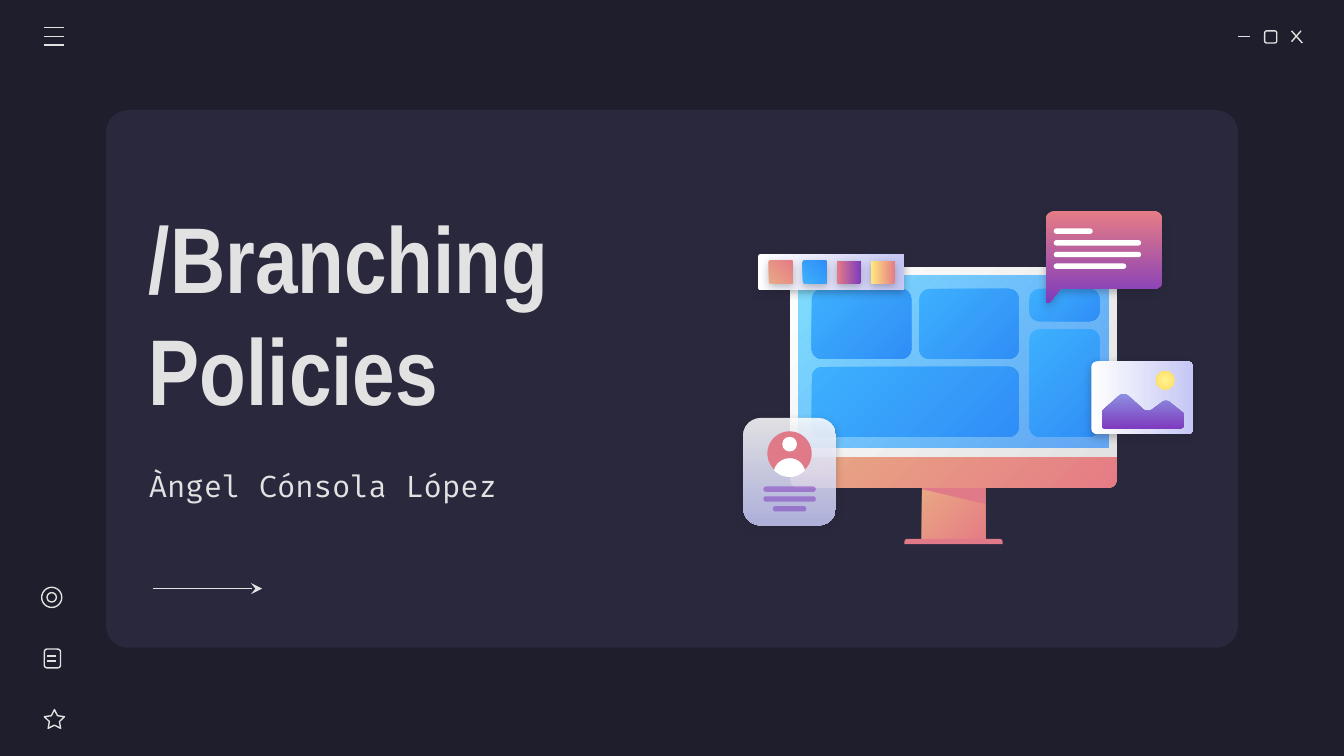
from dataclasses import dataclass

from lxml import etree
from pptx import Presentation
from pptx.dml.color import RGBColor
from pptx.enum import shapes, text
from pptx.oxml import ns
from pptx.util import Inches, Pt

KIND = shapes.MSO_SHAPE


@dataclass(frozen=True)
class Theme:
    back: str = "1E1E2C"
    panel: str = "29283D"
    ink: str = "E2E2E2"
    white: str = "FFFFFF"
    rose: str = "E07A88"
    violet: str = "7E3BBE"
    peach: tuple = ("E9A984", "E57C85")
    blue: tuple = ("3DB0FD", "308EF7")
    sky: tuple = ("80DFFF", "318FFA")
    frame: tuple = ("FFFFFF", "E2E2E2")
    paper: tuple = ("FFFFFF", "C5C7F4")
    plum: tuple = ("E57C85", "7E3BBE")
    hills: tuple = ("8D90E1", "7E3BBE")
    gold: tuple = ("FFEA7D", "E57C85")
    sun: tuple = ("FFF68E", "FFD966")
    title_font: str = "Arial Narrow"
    body_font: str = "Fira Code"
    title_size: int = 50
    body_size: int = 16
    line_width: float = 0.75


T = Theme()


def rgb(value):
    return RGBColor.from_string(value)


def child(parent, tag, **attrs):
    return etree.SubElement(parent, ns.qn(tag), {k: str(v) for k, v in attrs.items()})


def paint(sp, fill=None, angle=45, alpha=(100, 100), line=None, shadow=False):
    """Fill with a colour, a pair of colours (clockwise angle) or nothing."""
    sp.shadow.inherit = False
    if fill is None:
        sp.fill.background()
    elif isinstance(fill, str):
        sp.fill.solid()
        sp.fill.fore_color.rgb = rgb(fill)
    else:
        sp.fill.gradient()
        sp.fill.gradient_angle = -angle % 360
        for stop, color in zip(sp.fill.gradient_stops, fill):
            stop.color.rgb = rgb(color)
    for color, opacity in zip(sp._element.spPr.iter(ns.qn("a:srgbClr")), alpha):
        if opacity < 100:
            child(color, "a:alpha", val=opacity * 1000)
    if line:
        sp.line.color.rgb = rgb(line)
        sp.line.width = Pt(T.line_width)
    else:
        sp.line.fill.background()
    if shadow:
        effects = sp._element.spPr.find(ns.qn("a:effectLst"))
        outer = child(effects, "a:outerShdw", blurRad=Pt(4.5), dist=Pt(1.5),
                      dir=90 * 60000, algn="bl", rotWithShape=0)
        child(child(outer, "a:srgbClr", val=T.back), "a:alpha", val=30000)
    return sp


def add(parent, kind, x, y, w, h, adj=(), **look):
    sp = parent.shapes.add_shape(kind, Inches(x), Inches(y), Inches(w), Inches(h))
    for i, value in enumerate(adj):
        sp.adjustments[i] = value
    return paint(sp, **look)


def rounded(parent, x, y, w, h, radius, **look):
    return add(parent, KIND.ROUNDED_RECTANGLE, x, y, w, h,
               [min(0.5, radius / min(w, h))], **look)


def curve(x, y, start, *steps):
    """Points of an outline; a step is a line (2 numbers) or a cubic curve (6)."""
    points = [start]
    for step in steps:
        if len(step) == 2:
            points.append(step)
            continue
        ends = [points[-1], step[:2], step[2:4], step[4:]]
        for i in range(1, 9):
            t = i / 8
            weights = ((1 - t) ** 3, 3 * t * (1 - t) ** 2, 3 * t * t * (1 - t), t ** 3)
            points.append(tuple(sum(k * p[a] for k, p in zip(weights, ends))
                                for a in (0, 1)))
    return [(x + px, y + py) for px, py in points]


def outline(parent, points, **look):
    emu = [(Inches(px), Inches(py)) for px, py in points]
    builder = parent.shapes.build_freeform(*emu[0])
    builder.add_line_segments(emu[1:], close=True)
    return paint(builder.convert_to_shape(), **look)


def stroke(parent, x1, y1, x2, y2, arrow=False):
    c = parent.shapes.add_connector(shapes.MSO_CONNECTOR.STRAIGHT, Inches(x1),
                                    Inches(y1), Inches(x2), Inches(y2))
    c.line.color.rgb = rgb(T.ink)
    c.line.width = Pt(T.line_width)
    if arrow:
        child(c.line._ln, "a:tailEnd", type="stealth", w="med", len="med")
    child(c._element.spPr, "a:effectLst")


def label(s, x, y, w, h, lines, font, size, bold=False):
    tf = s.shapes.add_textbox(Inches(x), Inches(y), Inches(w), Inches(h)).text_frame
    tf.word_wrap = True
    tf.vertical_anchor = text.MSO_ANCHOR.MIDDLE
    tf.margin_left = tf.margin_right = tf.margin_top = tf.margin_bottom = Inches(0.1)
    tf.text = "\n".join(lines)
    for p in tf.paragraphs:
        f = p.runs[0].font
        f.name, f.size, f.bold = font, Pt(size), bold
        f.color.rgb = rgb(T.ink)


def window_controls(s, x, y):
    g = s.shapes.add_group_shape()
    stroke(g, x, y + 0.04, x + 0.09, y + 0.04)
    rounded(g, x + 0.2, y, 0.09, 0.09, 0.015, line=T.ink)
    stroke(g, x + 0.4, y, x + 0.48, y + 0.09)
    stroke(g, x + 0.47, y, x + 0.4, y + 0.08)


def menu_icon(s, x, y):
    g = s.shapes.add_group_shape()
    for i in range(3):
        stroke(g, x, y + i * 0.065, x + 0.15, y + i * 0.065)


def side_icons(s, x, y):
    g = s.shapes.add_group_shape()
    for inset in (0, 0.04):
        size = 0.15 - 2 * inset
        add(g, KIND.OVAL, x + inset, y + inset, size, size, line=T.ink)
    rounded(g, x + 0.02, y + 0.46, 0.12, 0.14, 0.02, line=T.ink)
    for dy in (0.51, 0.55):
        stroke(g, x + 0.04, y + dy, x + 0.11, y + dy)
    add(g, KIND.STAR_5_POINT, x + 0.02, y + 0.91, 0.15, 0.14, [0.25], line=T.ink)


def heading(s, x, y):
    label(s, x, y + 1.94, 3.24, 0.46, ["Àngel Cónsola López"], T.body_font, T.body_size)
    label(s, x, y, 4.47, 1.76, ["/Branching", "Policies"], T.title_font,
          T.title_size, True)
    stroke(s, x + 0.13, y + 2.94, x + 0.94, y + 2.94, arrow=True)


def monitor(s, x, y):
    g = s.shapes.add_group_shape()
    left, right, top = x + 0.98, x + 1.45, y + 1.62
    add(g, KIND.RECTANGLE, left, top, 0.47, 0.43, fill=T.peach)
    add(g, KIND.ROUND_2_SAME_RECTANGLE, x + 0.85, y + 2.02, 0.73, 0.04, [0.5, 0],
        fill=T.rose)
    outline(g, [(left, top), (left, top + 0.03), (right, top + 0.14), (right, top)],
            fill=T.rose)
    add(g, KIND.ROUND_2_SAME_RECTANGLE, x, y + 1.4, 2.43, 0.24, [0, 0.26], fill=T.peach)
    add(g, KIND.ROUND_2_SAME_RECTANGLE, x, y, 2.43, 1.41, [0.04, 0], fill=T.frame)
    add(g, KIND.RECTANGLE, x + 0.06, y + 0.06, 2.31, 1.28, fill=T.sky, alpha=(100, 71))
    tiles = [(0.16, 0.16, 0.74, 0.52), (0.16, 0.74, 1.54, 0.52), (0.96, 0.16, 0.74, 0.52),
             (1.78, 0.16, 0.52, 0.24), (1.78, 0.46, 0.52, 0.8)]
    for dx, dy, w, h in tiles:
        rounded(g, x + dx, y + dy, w, h, 0.075, fill=T.blue)


def speech_bubble(s, x, y):
    g = s.shapes.add_group_shape()
    shape = curve(x, y, (0.07, 0), (0.03, 0, 0, 0.03, 0, 0.07), (0, 0.67),
                  (0, 0.68, 0.02, 0.69, 0.03, 0.68), (0.11, 0.58), (0.81, 0.58),
                  (0.84, 0.58, 0.87, 0.55, 0.87, 0.52), (0.87, 0.07),
                  (0.87, 0.03, 0.84, 0, 0.81, 0))
    outline(g, shape, fill=T.plum, angle=90, shadow=True)
    for i, w in enumerate((0.29, 0.65, 0.65, 0.54)):
        rounded(g, x + 0.06, y + 0.13 + i * 0.087, w, 0.04, 0.02, fill=T.white)


def profile_card(s, x, y):
    g = s.shapes.add_group_shape()
    rounded(g, x, y, 0.69, 0.8, 0.13, fill=T.paper, angle=90, alpha=(85, 85), shadow=True)
    add(g, KIND.OVAL, x + 0.18, y + 0.1, 0.33, 0.33, fill=T.rose)
    add(g, KIND.OVAL, x + 0.29, y + 0.14, 0.11, 0.11, fill=T.white)
    shoulders = curve(x, y, (0.35, 0.3), (0.29, 0.3, 0.24, 0.34, 0.23, 0.39),
                      (0.26, 0.42, 0.3, 0.44, 0.35, 0.44),
                      (0.39, 0.44, 0.43, 0.42, 0.46, 0.39),
                      (0.45, 0.34, 0.4, 0.3, 0.35, 0.3))
    outline(g, shoulders, fill=T.white)
    for i, w in enumerate((0.39, 0.39, 0.25)):
        rounded(g, x + 0.345 - w / 2, y + 0.51 + i * 0.073, w, 0.04, 0.02,
                fill=T.violet, alpha=(53,))


def photo_card(s, x, y):
    g = s.shapes.add_group_shape()
    rounded(g, x, y, 0.76, 0.54, 0.04, fill=T.paper, angle=0, shadow=True)
    hills = curve(x, y, (0.24, 0.24), (0.23, 0.24, 0.22, 0.24, 0.21, 0.25), (0.09, 0.36),
                  (0.08, 0.37, 0.08, 0.38, 0.08, 0.39), (0.08, 0.47),
                  (0.08, 0.49, 0.09, 0.5, 0.11, 0.5), (0.65, 0.5),
                  (0.67, 0.5, 0.69, 0.49, 0.69, 0.47), (0.69, 0.4),
                  (0.69, 0.39, 0.68, 0.38, 0.68, 0.38), (0.58, 0.3),
                  (0.57, 0.29, 0.54, 0.29, 0.53, 0.3), (0.45, 0.36),
                  (0.44, 0.37, 0.41, 0.37, 0.39, 0.36), (0.27, 0.25),
                  (0.26, 0.24, 0.25, 0.24, 0.24, 0.24))
    outline(g, hills, fill=T.hills, angle=90)
    sun = add(g, KIND.OVAL, x + 0.48, y + 0.07, 0.14, 0.14, fill=T.sun)
    grad = sun._element.spPr.find(ns.qn("a:gradFill"))
    grad.remove(grad.find(ns.qn("a:lin")))
    child(child(grad, "a:path", path="circle"), "a:fillToRect",
          l=50000, t=50000, r=50000, b=50000)


def swatch_bar(s, x, y):
    g = s.shapes.add_group_shape()
    rounded(g, x, y, 1.09, 0.27, 0.02, fill=T.paper, angle=0, shadow=True)
    swatches = ((T.peach, 315), (T.blue, 315), (T.plum, 0), (T.gold, 0))
    for i, (fill, angle) in enumerate(swatches):
        rounded(g, x + 0.08 + i * 0.253, y + 0.05, 0.18, 0.17, 0.01,
                fill=fill, angle=angle, shadow=True)


def main():
    prs = Presentation()
    prs.slide_width, prs.slide_height = Inches(10), Inches(5.625)
    s = prs.slides.add_slide(prs.slide_layouts[6])
    s.background.fill.solid()
    s.background.fill.fore_color.rgb = rgb(T.back)
    rounded(s, 0.79, 0.82, 8.42, 4, 0.16, fill=T.panel)
    window_controls(s, 9.21, 0.23)
    heading(s, 1.01, 1.44)
    monitor(s, 5.88, 1.99)
    speech_bubble(s, 7.78, 1.57)
    menu_icon(s, 0.325, 0.205)
    profile_card(s, 5.53, 3.11)
    photo_card(s, 8.12, 2.69)
    swatch_bar(s, 5.64, 1.89)
    side_icons(s, 0.31, 4.37)
    prs.save("out.pptx")


if __name__ == "__main__":
    main()
